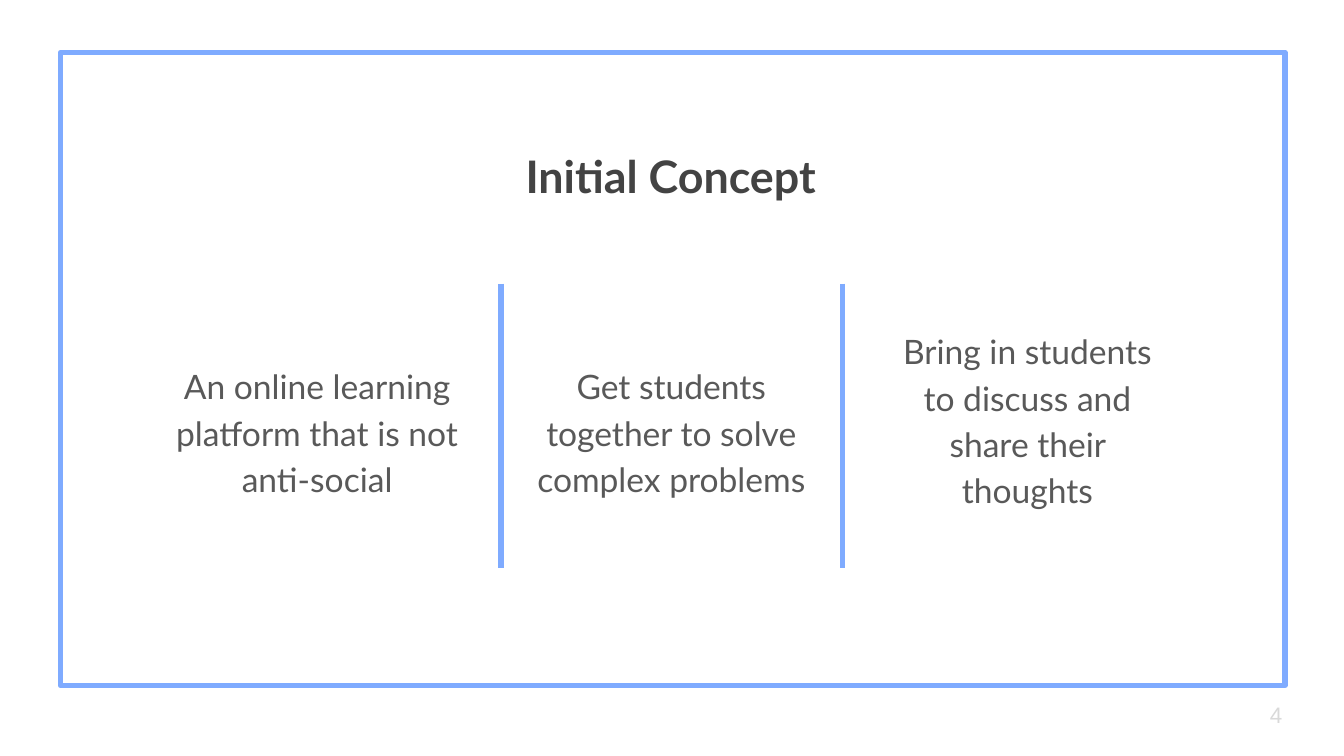
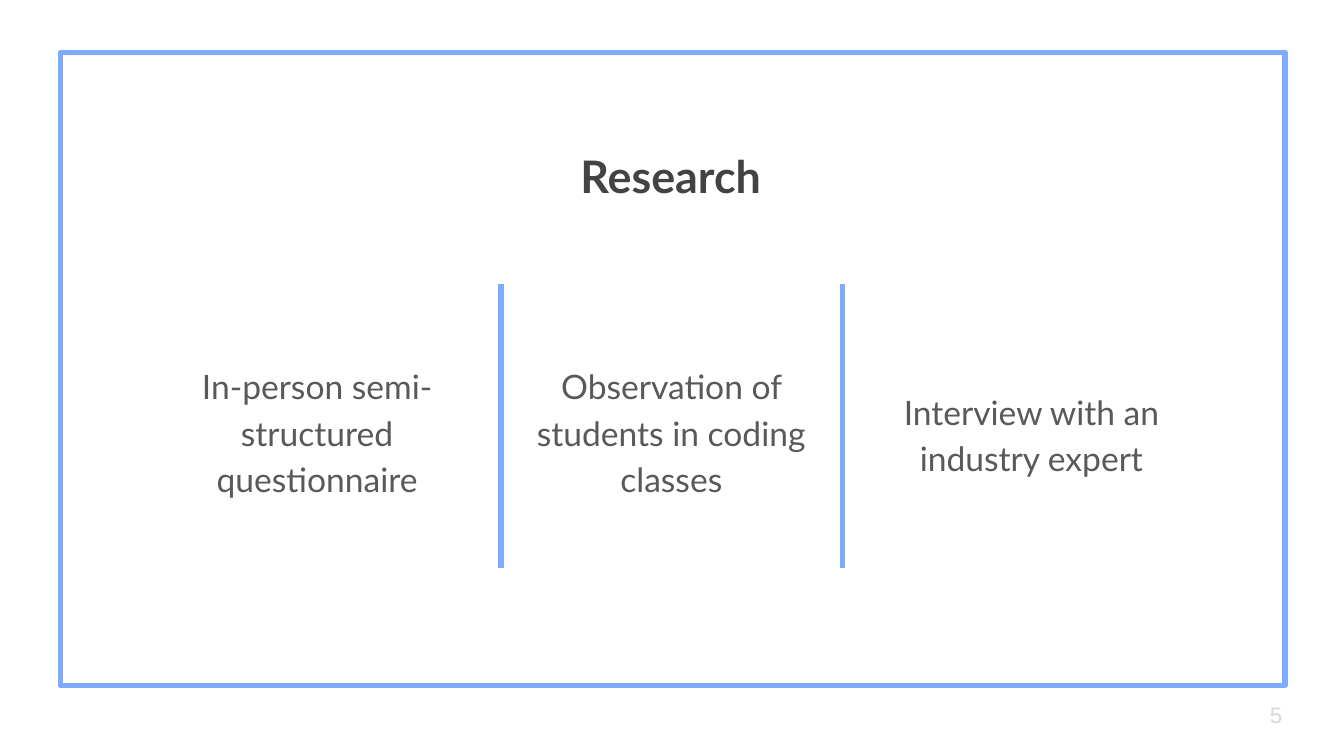
import pptx
import pptx.util
import pptx.dml.color
import pptx.enum.shapes
import pptx.enum.text
import lxml.etree
from dataclasses import dataclass
from pptx.util import Inches


@dataclass(frozen=True)
class Theme:
    accent: str = "7FABFF"
    title_color: str = "434343"
    body_color: str = "595959"
    number_color: str = "D9D9D9"
    font: str = "Lato"
    number_font: str = "Arial"
    title_size: int = 24
    body_size: int = 18
    number_size: int = 12
    line_width: int = 3


theme = Theme()
rgb = pptx.dml.color.RGBColor.from_string
anchors = pptx.enum.text.MSO_ANCHOR
center = pptx.enum.text.PP_ALIGN.CENTER
left = pptx.enum.text.PP_ALIGN.LEFT


def write(shape, text, box, font, size, color, bold=False, align=center, anchor=anchors.TOP):
    """Place a text shape and set its only paragraph."""
    shape.left, shape.top, shape.width, shape.height = map(Inches, box)
    frame = shape.text_frame
    frame.word_wrap = True
    frame.auto_size = pptx.enum.text.MSO_AUTO_SIZE.NONE
    frame.vertical_anchor = anchor
    frame.margin_left = frame.margin_right = Inches(0.1)
    frame.margin_top = frame.margin_bottom = Inches(0.1)
    frame.text = text
    paragraph = frame.paragraphs[0]
    paragraph.alignment = align
    for run in paragraph.runs:
        run.font.name = font
        run.font.size = pptx.util.Pt(size)
        run.font.bold = bold
        run.font.color.rgb = rgb(color)
    return paragraph


def style_line(line):
    line.color.rgb = rgb(theme.accent)
    line.width = pptx.util.Pt(theme.line_width)


# Content: title, then text and box of each column
left_box = (1.12, 2.58, 2.48, 1.18)
middle_box = (3.84, 2.58, 2.31, 1.18)
slides = [
    ("Initial Concept", [
        ("An online learning platform that is not anti-social", left_box),
        ("Get students together to solve complex problems", middle_box),
        ("Bring in students to discuss and share their thoughts", (6.49, 2.32, 2.31, 1.7)),
    ]),
    ("Research", [
        ("In-person semi-structured questionnaire", left_box),
        ("Observation of students in coding classes", middle_box),
        ("Interview with an industry expert", (6.52, 2.77, 2.31, 0.8)),
    ]),
]
first_number = 4
divider_positions = (3.73, 6.27)

# Widescreen 16:9 page
presentation = pptx.Presentation()
presentation.slide_width = Inches(10)
presentation.slide_height = Inches(10 * 9 / 16)
title_only = presentation.slide_layouts[5]

for number, (title, columns) in enumerate(slides, first_number):
    slide = presentation.slides.add_slide(title_only)

    # Frame
    border = slide.shapes.add_shape(
        pptx.enum.shapes.MSO_SHAPE.RECTANGLE,
        Inches(0.45), Inches(0.39), Inches(9.11), Inches(4.71))
    border.shadow.inherit = False
    border.fill.background()
    style_line(border.line)

    # Title
    write(slide.shapes.title, title, (-0.01, 1.01, 10, 0.53),
          theme.font, theme.title_size, theme.title_color, bold=True)

    # Column dividers
    for x in divider_positions:
        divider = slide.shapes.add_connector(
            pptx.enum.shapes.MSO_CONNECTOR.STRAIGHT,
            Inches(x), Inches(2.11), Inches(x), Inches(4.23))
        style_line(divider.line)
        lxml.etree.SubElement(divider.element.spPr, pptx.oxml.ns.qn("a:effectLst"))

    # Slide number
    write(slide.shapes.add_textbox(0, 0, 0, 0), str(number), (9.35, 5.1, 0.6, 0.43),
          theme.number_font, theme.number_size, theme.number_color,
          align=left, anchor=anchors.MIDDLE)

    # Columns
    for index, (text, box) in enumerate(columns):
        paragraph = write(slide.shapes.add_textbox(0, 0, 0, 0), text, box,
                          theme.font, theme.body_size, theme.body_color)
        paragraph.line_spacing = 1.15
        paragraph.space_after = pptx.util.Pt(12 if index else 0)

presentation.save("out.pptx")
